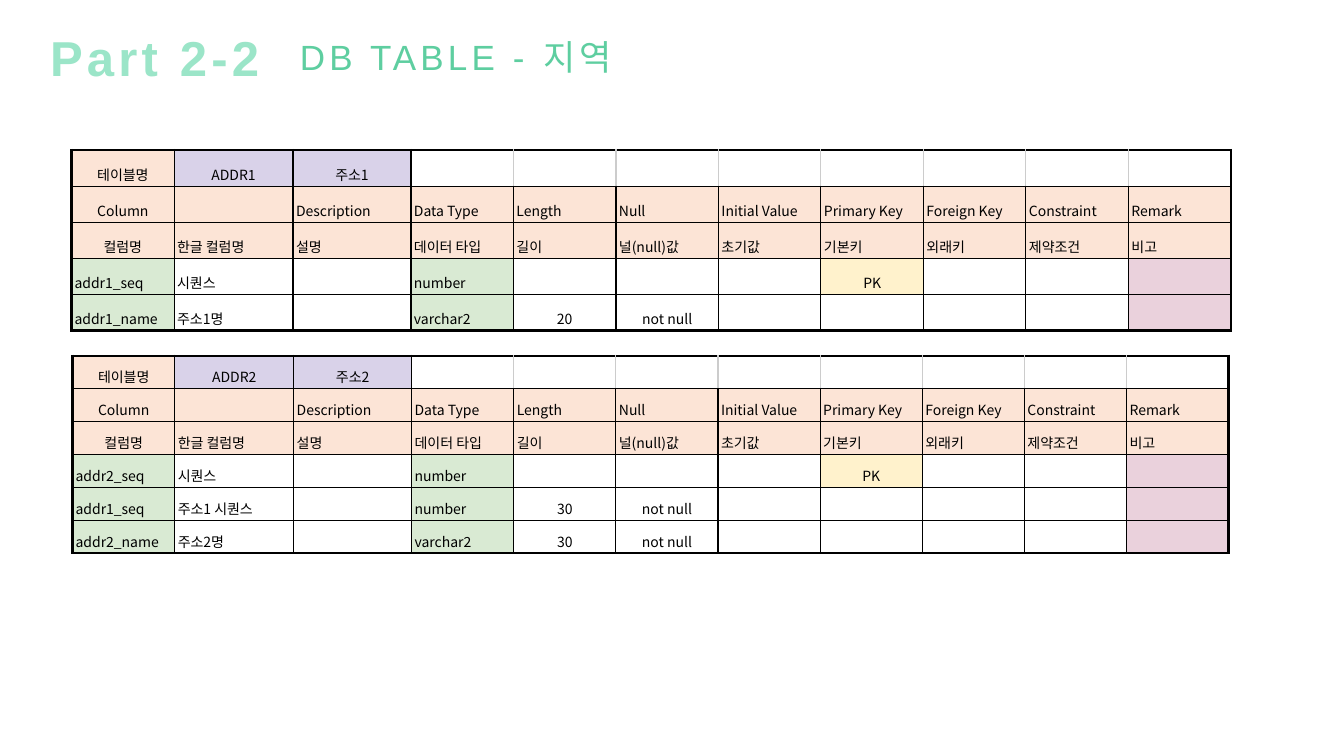
from lxml import etree
from pptx import Presentation
from pptx.dml.color import RGBColor
from pptx.enum.text import MSO_ANCHOR, PP_ALIGN
from pptx.oxml.ns import qn
from pptx.util import Inches, Pt

CENTER, LEFT = PP_ALIGN.CENTER, PP_ALIGN.LEFT
MIDDLE, BOTTOM = MSO_ANCHOR.MIDDLE, MSO_ANCHOR.BOTTOM
KOREAN_FONT = "Noto Sans CJK KR"
COLORS = {
    "part": "9BE5C8", "title": "5ECEA0", "black": "000000", "grid": "CCCCCC",
    "white": "FFFFFF", "header": "FCE4D6", "name": "D9D2E9",
    "field": "D9EAD3", "key": "FFF2CC", "remark": "EAD1DC",
}
HEADERS = [
    ["Column", "", "Description", "Data Type", "Length", "Null", "Initial Value",
     "Primary Key", "Foreign Key", "Constraint", "Remark"],
    ["컬럼명", "한글 컬럼명", "설명", "데이터 타입", "길이", "널(null)값", "초기값",
     "기본키", "외래키", "제약조건", "비고"],
]
TABLES = [
    (0.71, 1.49, 11.5, 1.79, ["테이블명", "ADDR1", "주소1"], [
        ["addr1_seq", "시퀀스", "", "number", "", "", "", "PK"],
        ["addr1_name", "주소1명", "", "varchar2", "20", "not null"],
    ]),
    (0.72, 3.53, 11.47, 1.96, ["테이블명", "ADDR2", "주소2"], [
        ["addr2_seq", "시퀀스", "", "number", "", "", "", "PK"],
        ["addr1_seq", "주소1 시퀀스", "", "number", "30", "not null"],
        ["addr2_name", "주소2명", "", "varchar2", "30", "not null"],
    ]),
]
COLUMN_COUNT = 11
NAME_WIDTHS = {1: 1.18, 2: 1.17}


def style_text(paragraph, size, font_name, color, align):
    paragraph.alignment = align
    for run in paragraph.runs:
        run.font.size = Pt(size)
        run.font.name = font_name
        run.font.color.rgb = RGBColor.from_string(COLORS[color])
        east_asian = etree.SubElement(run.font._element, qn("a:ea"))
        east_asian.set("typeface", KOREAN_FONT)


def set_borders(cell, borders):
    properties = cell._tc.get_or_add_tcPr()
    for index, (side, color, width) in enumerate(borders):
        line = etree.Element(qn(f"a:ln{side}"), w=str(Pt(width)))
        fill = etree.SubElement(line, qn("a:solidFill"))
        etree.SubElement(fill, qn("a:srgbClr"), val=COLORS[color])
        properties.insert(index, line)


prs = Presentation()
prs.slide_width, prs.slide_height = Inches(13.33), Inches(7.5)
slide = prs.slides.add_slide(prs.slide_layouts[5])

part = slide.shapes.add_textbox(Inches(0), Inches(0.22), Inches(3.07), Inches(0.68))
title = slide.shapes.title
title.left, title.top = Inches(2.56), Inches(0.31)
title.width, title.height = Inches(3.92), Inches(0.51)
for heading, text, size, color, bold in [
    (part, "Part 2-2", 35, "part", True),
    (title, "DB TABLE - 지역", 25, "title", False),
]:
    frame = heading.text_frame
    frame.text = text
    frame.word_wrap = True
    frame.vertical_anchor = MIDDLE
    style_text(frame.paragraphs[0], size, "Arial", color, CENTER)
    heading_font = frame.paragraphs[0].runs[0].font
    heading_font.bold = bold
    heading_font._element.set("spc", "300")

for left, top, width, height, table_name, fields in TABLES:
    rows = [table_name, *HEADERS, *fields]
    table = slide.shapes.add_table(
        len(rows), COLUMN_COUNT,
        Inches(left), Inches(top), Inches(width), Inches(height)).table
    table.first_row = table.horz_banding = False
    other_width = (width - sum(NAME_WIDTHS.values())) / (COLUMN_COUNT - len(NAME_WIDTHS))
    for c, column in enumerate(table.columns):
        column.width = Inches(NAME_WIDTHS.get(c, other_width))
    for row in table.rows:
        row.height = Inches(height / len(rows))

    last_row, last_column = len(rows) - 1, COLUMN_COUNT - 1
    for r, texts in enumerate(rows):
        for c in range(COLUMN_COUNT):
            text = texts[c] if c < len(texts) else ""
            if r in (1, 2) or r == c == 0:
                fill = "header"
            elif r == 0:
                fill = "name" if text else "white"
            elif c in (0, 3):
                fill = "field"
            elif c == last_column:
                fill = "remark"
            else:
                fill = "key" if text == "PK" else "white"

            cell = table.cell(r, c)
            cell.fill.solid()
            cell.fill.fore_color.rgb = RGBColor.from_string(COLORS[fill])
            cell.margin_left = cell.margin_right = Inches(0.03)
            cell.margin_top = cell.margin_bottom = Inches(0.02)
            cell.vertical_anchor = BOTTOM
            cell.text_frame.text = text
            paragraph = cell.text_frame.paragraphs[0]
            paragraph.line_spacing = 1.15
            centered = r == 0 or (c == 0 and r < 3) or (c > 3 and r > 2)
            style_text(paragraph, 10, KOREAN_FONT, "black", CENTER if centered else LEFT)
            if not text:
                paragraph._p.get_or_add_endParaRPr().set("sz", "1000")

            set_borders(cell, [
                ("L", "grid" if r == 0 and c > 3 else "black", 2 if c == 0 else 0.9),
                ("R", "grid" if r == 0 and 2 < c < last_column else "black",
                 2 if c == last_column else 0.9),
                ("T", "black", 2 if r == 0 else 0.9),
                ("B", "black", 2 if r == last_row else 0.9),
            ])

prs.save("out.pptx")
